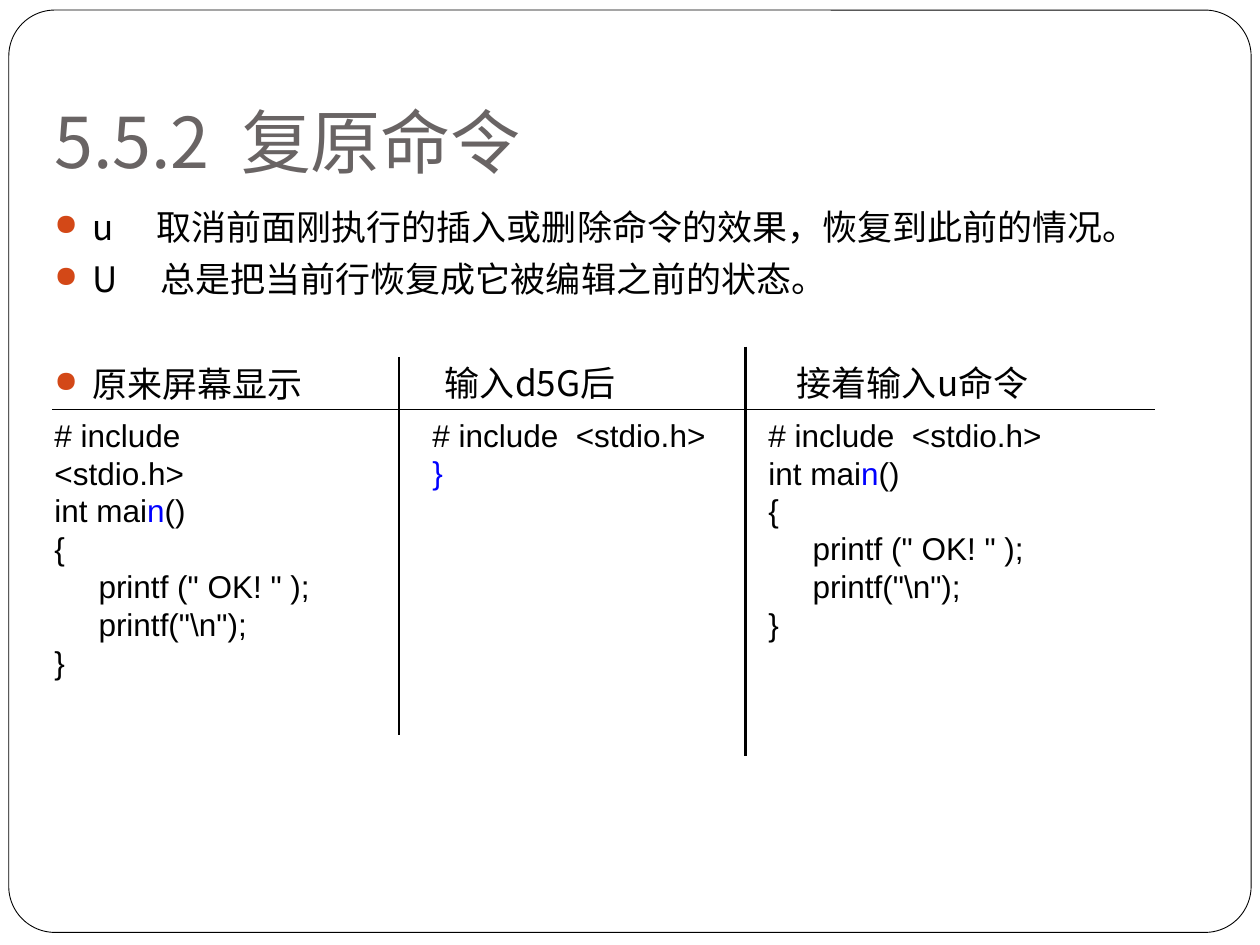
from lxml import etree
from pptx import Presentation
from pptx import util as u
from pptx.dml.color import RGBColor
from pptx.enum import shapes, text
from pptx.oxml import ns

BLACK = RGBColor(0x00, 0x00, 0x00)
WHITE = RGBColor(0xFF, 0xFF, 0xFF)
GREY = RGBColor(0x69, 0x64, 0x64)
BLUE = RGBColor(0x00, 0x00, 0xFF)
BULLET = RGBColor(0xD3, 0x48, 0x17)
CJK = "Noto Sans CJK SC"

presentation = Presentation()
presentation.slide_width, presentation.slide_height = u.Inches(10), u.Inches(7.5)
slide = presentation.slides.add_slide(presentation.slide_layouts[6])
CELL = presentation.slide_width / 120  # the slide is a grid of 120 columns by 90 rows


def add_text_box(column, row, columns, rows):
    box = slide.shapes.add_textbox(*(round(n * CELL) for n in (column, row, columns, rows)))
    box.text_frame.word_wrap = True
    return box.text_frame


def add_run(paragraph, words, size, font, color):
    run = paragraph.add_run()
    run.text = words
    run.font.size, run.font.name, run.font.color.rgb = u.Pt(size), font, color
    etree.SubElement(run.font._element, ns.qn("a:ea")).set("typeface", font)


# Rounded frame around the slide
frame = slide.shapes.add_shape(shapes.MSO_SHAPE.ROUNDED_RECTANGLE, u.Inches(0.07),
                               u.Inches(0.08), u.Inches(9.86), u.Inches(7.32))
frame.adjustments[0] = 0.05
frame.shadow.inherit = False
frame.fill.solid()
frame.fill.fore_color.rgb = WHITE
frame.line.color.rgb = BLACK
frame.line.width = u.Pt(0.5)

# Title
title = add_text_box(4, 8, 112, 10)
title.vertical_anchor = text.MSO_ANCHOR.BOTTOM
add_run(title.paragraphs[0], "5.5.2  复原命令", 40, CJK, GREY)

# Bulleted text; the last bullet heads the first column
body = add_text_box(4, 19, 112, 61)
bullets = [
    ("u　 取消前面刚执行的插入或删除命令的效果，恢复到此前的情况。", 5.8),
    ("U　 总是把当前行恢复成它被编辑之前的状态。", 5.8),
    ("原来屏幕显示", 35.6),
]
for index, (words, space_before) in enumerate(bullets):
    paragraph = body.paragraphs[0] if index == 0 else body.add_paragraph()
    paragraph.line_spacing = u.Pt(24)
    paragraph.space_before = u.Pt(space_before)
    add_run(paragraph, words, 20, CJK, BLACK)
    properties = paragraph._p.get_or_add_pPr()
    properties.set("marL", str(u.Inches(0.3)))
    properties.set("indent", str(-u.Inches(0.3)))
    bullet_color = etree.SubElement(properties, ns.qn("a:buClr"))
    etree.SubElement(bullet_color, ns.qn("a:srgbClr")).set("val", str(BULLET))
    etree.SubElement(properties, ns.qn("a:buSzPct")).set("val", "85000")
    etree.SubElement(properties, ns.qn("a:buChar")).set("char", "●")

# Headings of the second and third columns
for column, words in [(41.2, "输入d5G后"), (74.7, "接着输入u命令")]:
    paragraph = add_text_box(column, 33.8, 30, 5).paragraphs[0]
    paragraph.line_spacing = u.Pt(24)
    add_run(paragraph, words, 20, CJK, BLACK)

# Screen contents: each line is (indent in inches, runs)
include_line = (0, [("# include  <stdio.h>", BLACK)])
program = [
    include_line,
    (0, [("int mai", BLACK), ("n", BLUE), ("()", BLACK)]),
    (0, [("{", BLACK)]),
    (0.35, [('printf (" OK! " );', BLACK)]),
    (0.35, [('printf("\\n");', BLACK)]),
    (0, [("}", BLACK)]),
]
after_delete = [include_line, (0, [("}", BLUE)])]
for column, columns, lines in [(4, 28, program), (40, 29, after_delete), (72, 38, program)]:
    screen = add_text_box(column, 39, columns, 4.6 * len(lines) - 4.6 + 5)
    for index, (indent, runs) in enumerate(lines):
        paragraph = screen.paragraphs[0] if index == 0 else screen.add_paragraph()
        paragraph._p.get_or_add_pPr().set("marL", str(u.Inches(indent)))
        for words, color in runs:
            add_run(paragraph, words, 18, "Arial", color)

# Column dividers and heading rule
for x1, y1, x2, y2, width in [(38, 34, 38, 70, 1.5), (71, 33, 71, 72, 1.5),
                              (5, 39, 110, 39, 0.75)]:
    rule = slide.shapes.add_connector(shapes.MSO_CONNECTOR.STRAIGHT,
                                      *(round(n * CELL) for n in (x1, y1, x2, y2)))
    rule.line.color.rgb = BLACK
    rule.line.width = u.Pt(width)
    etree.SubElement(rule._element.spPr, ns.qn("a:effectLst"))

presentation.save("out.pptx")
